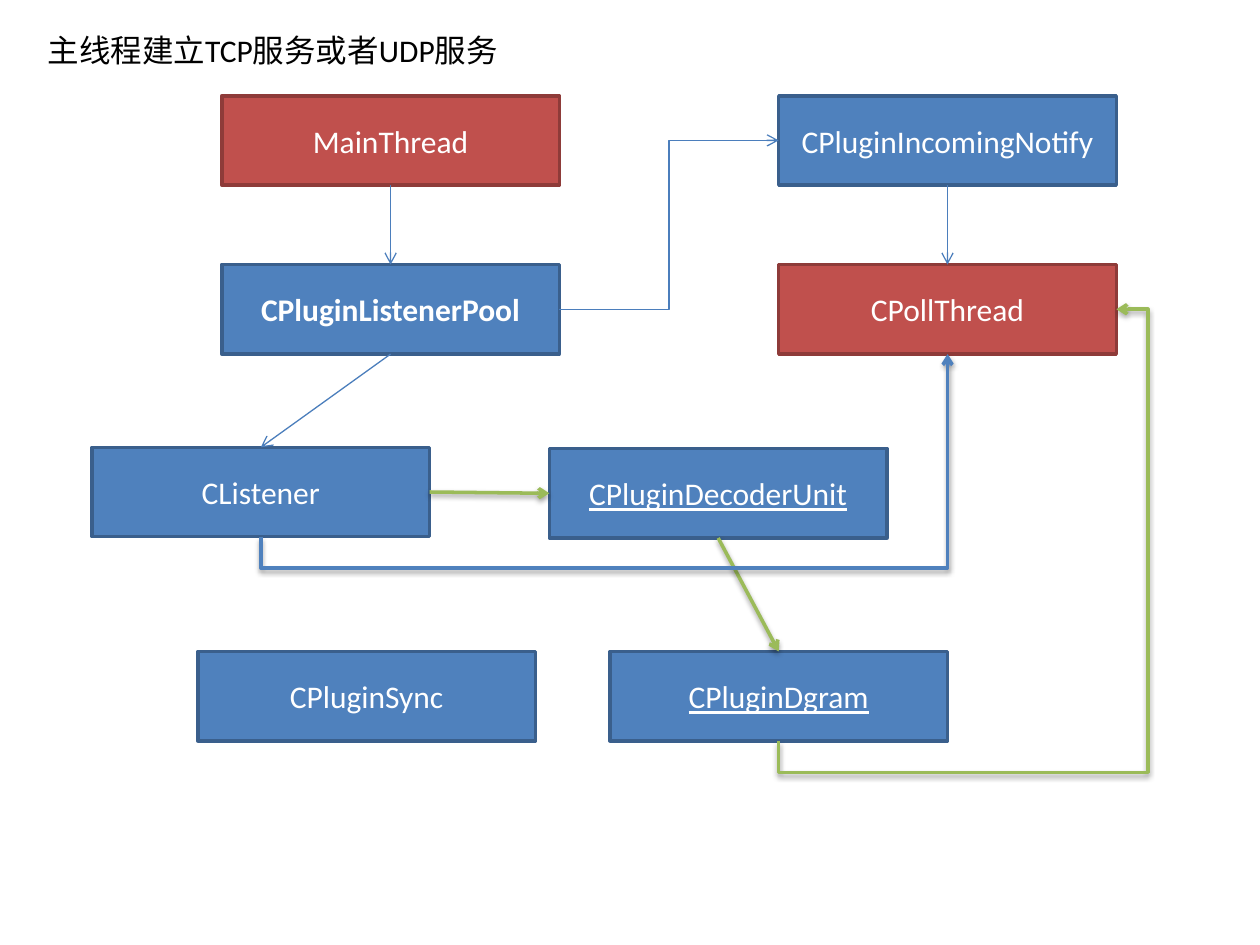
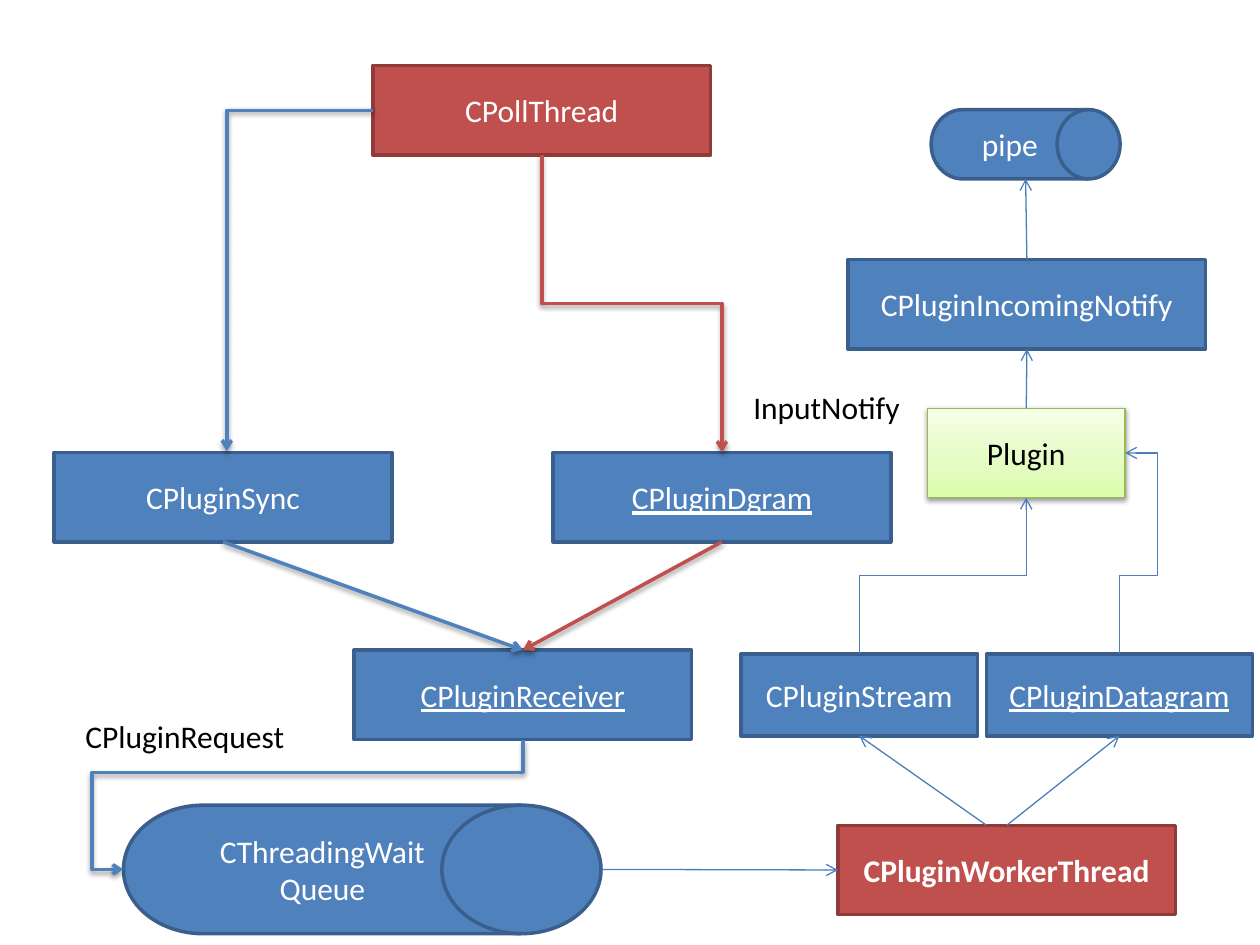
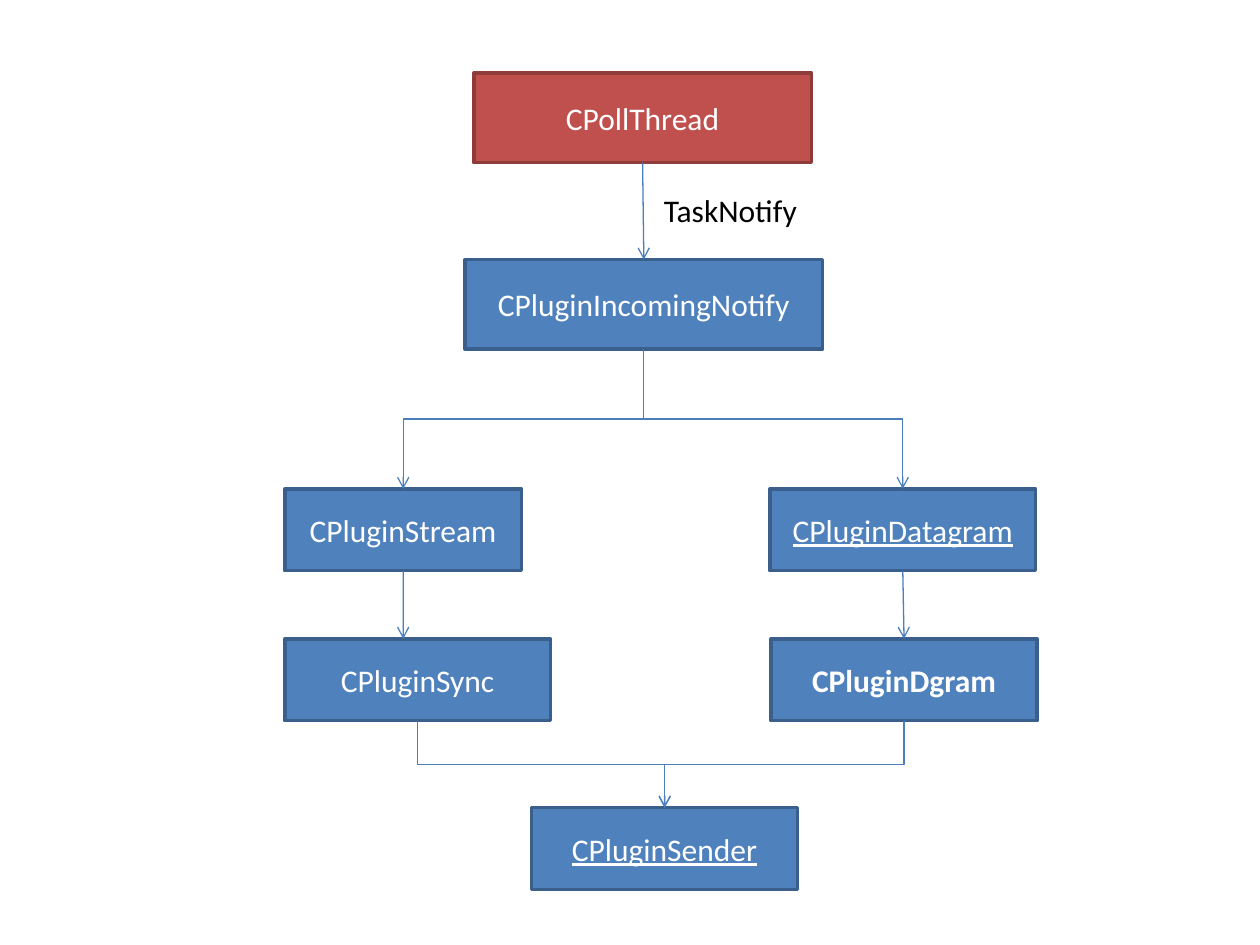
import copy
import dataclasses

import lxml.etree
import pptx
import pptx.dml.color
import pptx.enum.shapes
import pptx.enum.text
import pptx.oxml.ns
import pptx.shapes.base
import pptx.util

Inches = pptx.util.Inches
Pt = pptx.util.Pt
qn = pptx.oxml.ns.qn
RGB = pptx.dml.color.RGBColor.from_string
Shapes = pptx.enum.shapes.MSO_SHAPE
Connectors = pptx.enum.shapes.MSO_CONNECTOR

TOP, LEFT, BOTTOM, RIGHT = range(4)
MIDDLE = None


@dataclasses.dataclass(frozen=True)
class BoxStyle:
    fill: object
    line: str
    text: str = "FFFFFF"
    line_width: float = 2
    shadow: bool = False


@dataclasses.dataclass(frozen=True)
class LineStyle:
    color: str
    width: float = 2
    shadow: bool = True


@dataclasses.dataclass(frozen=True)
class Theme:
    font: str = "Calibri"
    size: float = 18
    label: str = "000000"
    wide: tuple = (2.68, 0.71)
    notify: tuple = (2.84, 0.71)
    stream: tuple = (1.88, 0.65)
    compact: tuple = (2.11, 0.65)
    component: BoxStyle = BoxStyle("4F81BD", "3A5F8C")
    thread: BoxStyle = BoxStyle("C0504D", "8E3B39")
    plugin: BoxStyle = BoxStyle(
        ((0, "DAFDA7"), (0.35, "E4FCC2"), (1, "F5FFE7")), "98B955", "000000", 0.75, True)
    thin: LineStyle = LineStyle("4B7EBC", 0.75, False)
    blue: LineStyle = LineStyle("4F81BD")
    green: LineStyle = LineStyle("9BBB59")
    red: LineStyle = LineStyle("C0504D")


THEME = Theme()


def set_effects(shape, visible):
    properties = shape.element.spPr
    effects = properties.find(qn("a:effectLst"))
    if effects is None:
        effects = lxml.etree.SubElement(properties, qn("a:effectLst"))
    if visible:
        shadow = lxml.etree.SubElement(
            effects, qn("a:outerShdw"), blurRad=str(Pt(3.1)), dist=str(Pt(1.6)),
            dir="5400000", rotWithShape="0")
        color = lxml.etree.SubElement(shadow, qn("a:srgbClr"), val="000000")
        lxml.etree.SubElement(color, qn("a:alpha"), val="38000")


def fill_gradient(shape, stops):
    shape.fill.gradient()
    shape.fill.gradient_angle = 90
    stop_list = shape.element.spPr.find(".//" + qn("a:gsLst"))
    while len(stop_list) < len(stops):
        stop_list.append(copy.deepcopy(stop_list[0]))
    for stop, (position, color) in zip(shape.fill.gradient_stops, stops):
        stop.position = position
        stop.color.rgb = RGB(color)


def write(frame, text, color, bold=None, underline=None):
    para = frame.paragraphs[0]
    para.text = text
    para.font.name = THEME.font
    para.font.size = Pt(THEME.size)
    para.font.color.rgb = RGB(color)
    para.font.bold = bold
    para.font.underline = underline
    return para


def add_box(page, text, left, top, size=THEME.wide, style=THEME.component,
            outline=Shapes.RECTANGLE, bold=None, underline=None):
    box = page.shapes.add_shape(outline, *map(Inches, (left, top, *size)))
    if isinstance(style.fill, str):
        box.fill.solid()
        box.fill.fore_color.rgb = RGB(style.fill)
    else:
        fill_gradient(box, style.fill)
    box.line.color.rgb = RGB(style.line)
    box.line.width = Pt(style.line_width)
    box.shadow.inherit = False
    set_effects(box, style.shadow)
    box.text_frame.word_wrap = True
    box.text_frame.vertical_anchor = pptx.enum.text.MSO_ANCHOR.MIDDLE
    para = write(box.text_frame, text, style.text, bold, underline)
    para.alignment = pptx.enum.text.PP_ALIGN.CENTER
    return box


def add_label(page, text, left, top, width):
    label = page.shapes.add_textbox(*map(Inches, (left, top, width, 0.4)))
    label.text_frame.word_wrap = False
    label.text_frame.auto_size = pptx.enum.text.MSO_AUTO_SIZE.SHAPE_TO_FIT_TEXT
    write(label.text_frame, text, THEME.label)


def point(x, y):
    return Inches(x), Inches(y)


def side_point(box, side):
    across, down = {TOP: (1, 0), LEFT: (0, 1), BOTTOM: (1, 2), RIGHT: (2, 1)}[side]
    return box.left + box.width * across // 2, box.top + box.height * down // 2


def is_glued(end):
    return isinstance(end[0], pptx.shapes.base.BaseShape)


def locate(end):
    return side_point(*end) if is_glued(end) else end


def draw_arrow(page, kind, start, end, style):
    arrow = page.shapes.add_connector(kind, *locate(start), *locate(end))
    if is_glued(start):
        arrow.begin_connect(*start)
    if is_glued(end):
        arrow.end_connect(*end)
    arrow.line.color.rgb = RGB(style.color)
    arrow.line.width = Pt(style.width)
    outline = arrow.element.spPr.find(qn("a:ln"))
    lxml.etree.SubElement(outline, qn("a:tailEnd"), type="arrow")
    set_effects(arrow, style.shadow)
    return arrow


def add_arrow(page, start, end, style=THEME.thin):
    draw_arrow(page, Connectors.STRAIGHT, start, end, style)


def add_elbow(page, start, end, turns=(MIDDLE,), style=THEME.thin):
    arrow = draw_arrow(page, Connectors.ELBOW, start, end, style)
    vertical = start[1] in (TOP, BOTTOM)
    (x1, y1), (x2, y2) = locate(start), locate(end)
    along, across = (y2 - y1, x1 - x2) if vertical else (x2 - x1, y2 - y1)
    rotation = 90 if vertical else 0
    flip_h, flip_v = along < 0, across < 0
    if flip_h != flip_v and flip_v == vertical:
        rotation, flip_h, flip_v = rotation + 180, not flip_h, not flip_v

    arrow.width, arrow.height = abs(along), abs(across)
    arrow.left = (x1 + x2 - arrow.width) // 2
    arrow.top = (y1 + y2 - arrow.height) // 2
    transform = arrow.element.spPr.get_or_add_xfrm()
    transform.rot, transform.flipH, transform.flipV = rotation, flip_h, flip_v

    geometry = arrow.element.spPr.find(qn("a:prstGeom"))
    geometry.set("prst", f"bentConnector{2 + len(turns)}")
    guides = geometry.find(qn("a:avLst"))
    spans = [(y1, y2), (x1, x2)] if vertical else [(x1, x2), (y1, y2)]
    for number, (turn, (first, last)) in enumerate(zip(turns, spans), 1):
        if turn is not MIDDLE:
            share = round(100000 * (Inches(turn) - first) / (last - first))
            lxml.etree.SubElement(guides, qn("a:gd"), name=f"adj{number}", fmla=f"val {share}")


def build_startup(page):
    pool = add_box(page, "CPluginListenerPool", 1.76, 2.1, bold=True)
    listener = add_box(page, "CListener", 0.73, 3.55)
    decoder = add_box(page, "CPluginDecoderUnit", 4.36, 3.56, underline=True)
    poll = add_box(page, "CPollThread", 6.18, 2.1, style=THEME.thread)
    add_box(page, "CPluginSync", 1.57, 5.17)
    dgram = add_box(page, "CPluginDgram", 4.84, 5.17, underline=True)
    main_thread = add_box(page, "MainThread", 1.76, 0.76, style=THEME.thread)
    notify = add_box(page, "CPluginIncomingNotify", 6.18, 0.76)
    add_label(page, "主线程建立TCP服务或者UDP服务", 0.28, 0.2, 3.81)

    add_arrow(page, (listener, RIGHT), (decoder, LEFT), THEME.green)
    add_arrow(page, (pool, BOTTOM), (listener, TOP))
    add_arrow(page, (decoder, BOTTOM), (dgram, TOP), THEME.green)
    add_elbow(page, (dgram, BOTTOM), (poll, RIGHT), (6.13, 9.11), THEME.green)
    add_elbow(page, (listener, BOTTOM), (poll, BOTTOM), (4.51,), THEME.blue)
    add_arrow(page, (main_thread, BOTTOM), (pool, TOP))
    add_elbow(page, (pool, RIGHT), (notify, LEFT))
    add_arrow(page, (notify, BOTTOM), (poll, TOP))


def build_receiving(page):
    poll = add_box(page, "CPollThread", 2.96, 0.52, style=THEME.thread)
    sync = add_box(page, "CPluginSync", 0.43, 3.59)
    dgram = add_box(page, "CPluginDgram", 4.39, 3.59, underline=True)
    receiver = add_box(page, "CPluginReceiver", 2.81, 5.16, underline=True)
    queue = add_box(page, "CThreadingWaitQueue", 0.98, 6.39, (3.79, 1.02),
                    outline=Shapes.FLOWCHART_DIRECT_ACCESS_STORAGE)
    worker = add_box(page, "CPluginWorkerThread", 6.65, 6.55, style=THEME.thread, bold=True)
    stream = add_box(page, "CPluginStream", 5.88, 5.19, THEME.stream)
    datagram = add_box(page, "CPluginDatagram", 7.83, 5.19, THEME.compact, underline=True)
    plugin = add_box(page, "Plugin", 7.36, 3.24, (1.57, 0.71), THEME.plugin)
    pipe = add_box(page, "pipe", 7.39, 0.87, (1.5, 0.55),
                   outline=Shapes.FLOWCHART_DIRECT_ACCESS_STORAGE)
    notify = add_box(page, "CPluginIncomingNotify", 6.73, 2.06, THEME.notify)
    add_label(page, "InputNotify", 5.88, 3.03, 1.38)
    add_label(page, "CPluginRequest", 0.58, 5.64, 1.8)

    add_arrow(page, (sync, BOTTOM), (receiver, TOP), THEME.blue)
    add_arrow(page, (dgram, BOTTOM), (receiver, TOP), THEME.red)
    add_elbow(page, (receiver, BOTTOM), (queue, LEFT), (6.13, 0.73), THEME.blue)
    add_elbow(page, (poll, BOTTOM), (dgram, TOP), style=THEME.red)
    add_elbow(page, (poll, LEFT), point(1.8, 3.58), (), THEME.blue)
    add_arrow(page, side_point(queue, RIGHT), (worker, LEFT))
    add_arrow(page, (worker, TOP), (datagram, BOTTOM))
    add_arrow(page, point(7.83, 6.55), (stream, BOTTOM))
    add_elbow(page, (stream, TOP), (plugin, BOTTOM))
    add_elbow(page, (datagram, TOP), (plugin, RIGHT), (4.57, 9.19))
    add_arrow(page, (plugin, TOP), (notify, BOTTOM))
    add_arrow(page, (notify, TOP), (pipe, BOTTOM))


def build_sending(page):
    poll = add_box(page, "CPollThread", 3.76, 0.58, style=THEME.thread)
    notify = add_box(page, "CPluginIncomingNotify", 3.69, 2.06, THEME.notify)
    stream = add_box(page, "CPluginStream", 2.26, 3.88, THEME.stream)
    datagram = add_box(page, "CPluginDatagram", 6.11, 3.88, THEME.compact, underline=True)
    dgram = add_box(page, "CPluginDgram", 6.12, 5.07, THEME.compact, bold=True)
    sync = add_box(page, "CPluginSync", 2.26, 5.07, THEME.compact)
    sender = add_box(page, "CPluginSender", 4.22, 6.41, THEME.compact, underline=True)
    add_label(page, "TaskNotify", 5.17, 1.47, 1.27)

    add_arrow(page, (poll, BOTTOM), (notify, TOP))
    for branch in (stream, datagram):
        add_elbow(page, (notify, BOTTOM), (branch, TOP))
    add_arrow(page, (stream, BOTTOM), point(3.2, 5.07))
    add_arrow(page, (datagram, BOTTOM), (dgram, TOP))
    for branch in (sync, dgram):
        add_elbow(page, (branch, BOTTOM), (sender, TOP))


def main():
    deck = pptx.Presentation()
    deck.slide_width, deck.slide_height = Inches(10), Inches(7.5)
    for build in (build_startup, build_receiving, build_sending):
        build(deck.slides.add_slide(deck.slide_layouts[6]))
    deck.save("out.pptx")


main()
